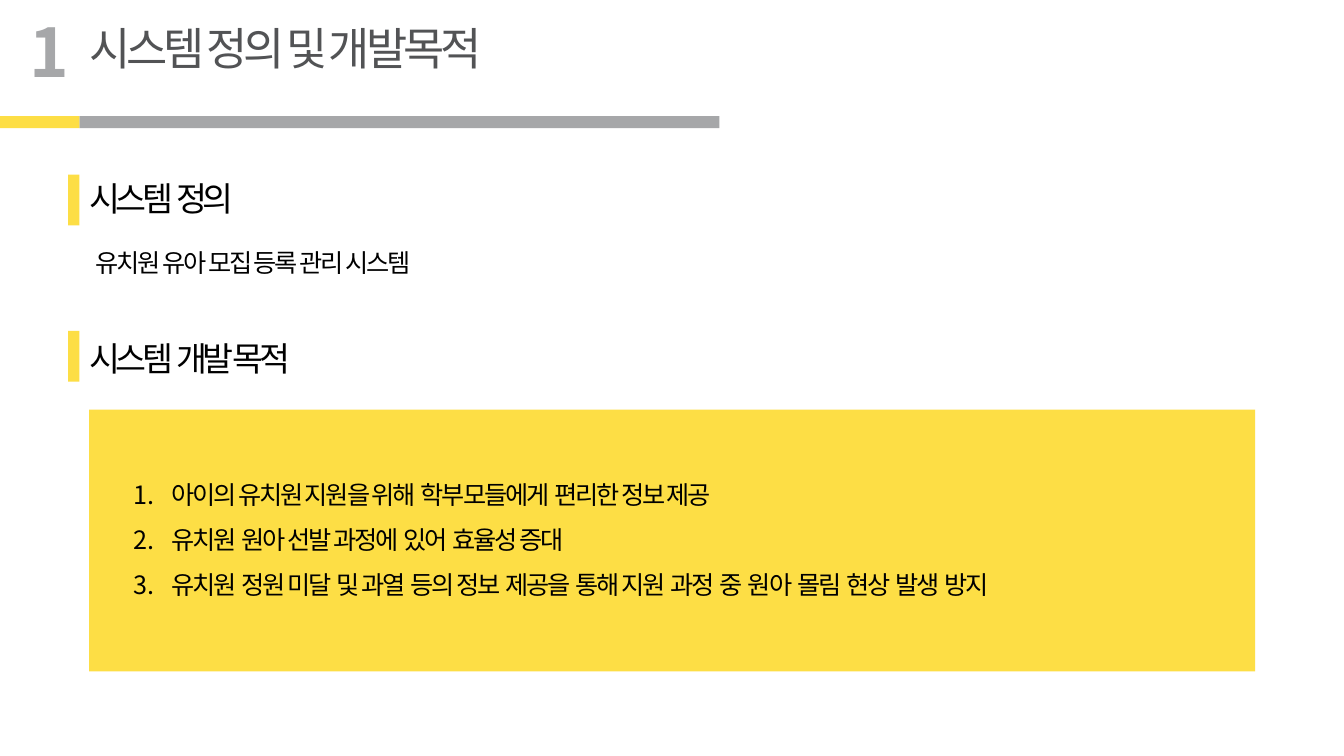
"""Build the slide on the system definition and its development goals."""
from dataclasses import dataclass

from lxml import etree
from pptx import Presentation
from pptx.dml.color import RGBColor
from pptx.enum import shapes, text
from pptx.oxml import ns
from pptx.util import Cm, Pt


@dataclass(frozen=True)
class Theme:
    font: str = "Noto Sans CJK KR"
    yellow: str = "FDDE45"
    gray: str = "A6A7A9"
    dark: str = "525355"
    black: str = "000000"
    number: int = 48
    title: int = 32
    head: int = 24
    body: int = 18


theme = Theme()
deck = Presentation()
deck.slide_width, deck.slide_height = Cm(33.87), Cm(19.05)
slide = deck.slides.add_slide(deck.slide_layouts[6])


def add_bar(left, top, width, height, color):
    bar = slide.shapes.add_shape(
        shapes.MSO_SHAPE.RECTANGLE, Cm(left), Cm(top), Cm(width), Cm(height))
    bar.shadow.inherit = False
    bar.fill.solid()
    bar.fill.fore_color.rgb = RGBColor.from_string(color)
    bar.line.fill.background()


def add_text(left, top, width, height, lines, size, color, track=0, bold=False, wrap=True):
    box = slide.shapes.add_textbox(Cm(left), Cm(top), Cm(width), Cm(height))
    frame = box.text_frame
    frame.word_wrap = wrap
    frame.text = "\n".join(lines)
    for para in frame.paragraphs:
        font = para.font
        font.name, font.size, font.bold = theme.font, Pt(size), bold
        font.color.rgb = RGBColor.from_string(color)
        base = para._p.pPr.find(ns.qn("a:defRPr"))
        base.set("spc", str(int(track * 100)))
        etree.SubElement(base, ns.qn("a:ea"), typeface=theme.font)
    return frame


add_bar(2, 2.93, 16.13, 0.3, theme.gray)
add_bar(0, 2.93, 2, 0.3, theme.yellow)
add_text(0.5, 0.13, 1.48, 2.31, ["1"], theme.number, theme.gray, bold=True, wrap=False)
add_text(2, 0.4, 13.16, 1.63, ["시스템 정의 및 개발목적"], theme.title, theme.dark, -3)

for head, top, mark in (("시스템  정의", 4.37, 4.4), ("시스템  개발 목적", 8.38, 8.34)):
    add_bar(1.72, mark, 0.28, 1.28, theme.yellow)
    add_text(2, top, 5.64, 1.28, [head], theme.head, theme.black, -3, wrap=False)

add_text(2.16, 6.12, 9.78, 1.03, ["유치원 유아 모집 등록 관리 시스템"],
         theme.body, theme.black, -1.5)

add_bar(2.25, 10.32, 29.38, 6.6, theme.yellow)
goals = add_text(3.12, 11.56, 27.61, 3.61, [
    "아이의 유치원 지원을 위해  학부모들에게  편리한 정보 제공",
    "유치원  원아 선발 과정에  있어  효율성 증대",
    "유치원  정원 미달  및 과열  등의 정보  제공을  통해 지원  과정  중  원아  몰림  현상  발생  방지",
], theme.body, theme.black, -1.5)
for goal in goals.paragraphs:
    goal.alignment = text.PP_ALIGN.JUSTIFY
    goal.line_spacing = 1.5
    props = goal._p.pPr
    props.set("marL", str(Cm(0.95)))
    props.set("indent", str(-Cm(0.95)))
    count = etree.Element(ns.qn("a:buAutoNum"), type="arabicPeriod")
    props.find(ns.qn("a:defRPr")).addprevious(count)

deck.save("out.pptx")
